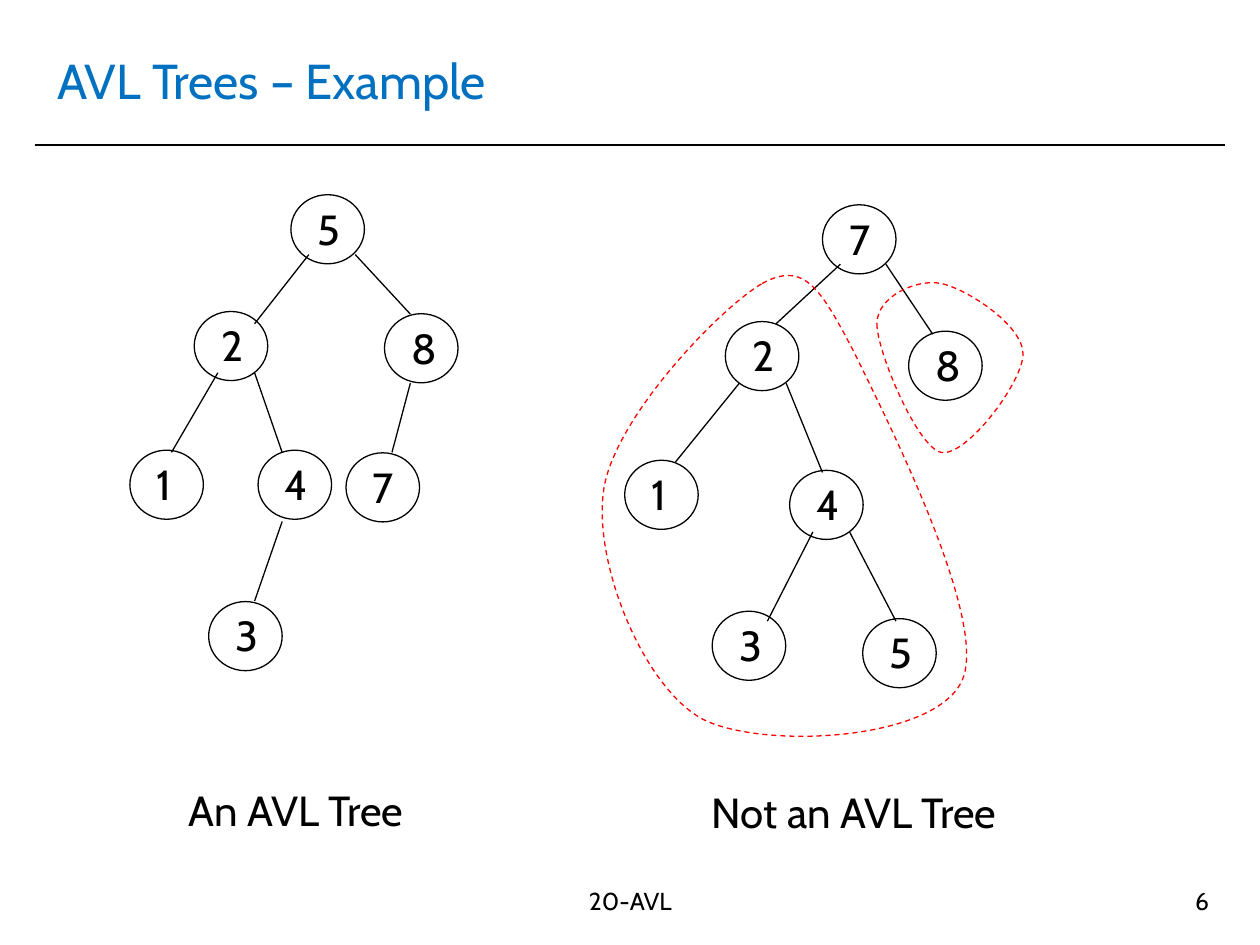
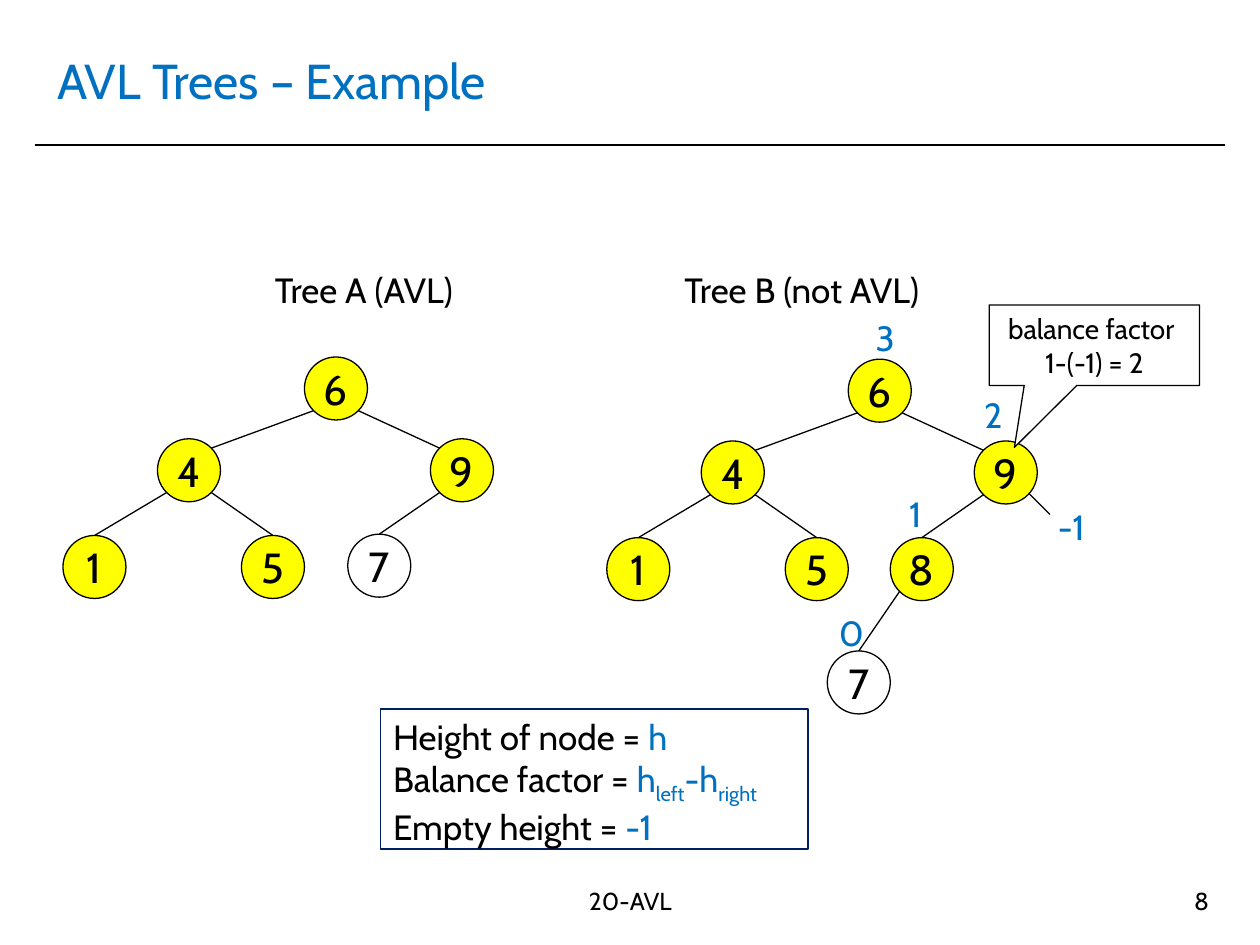
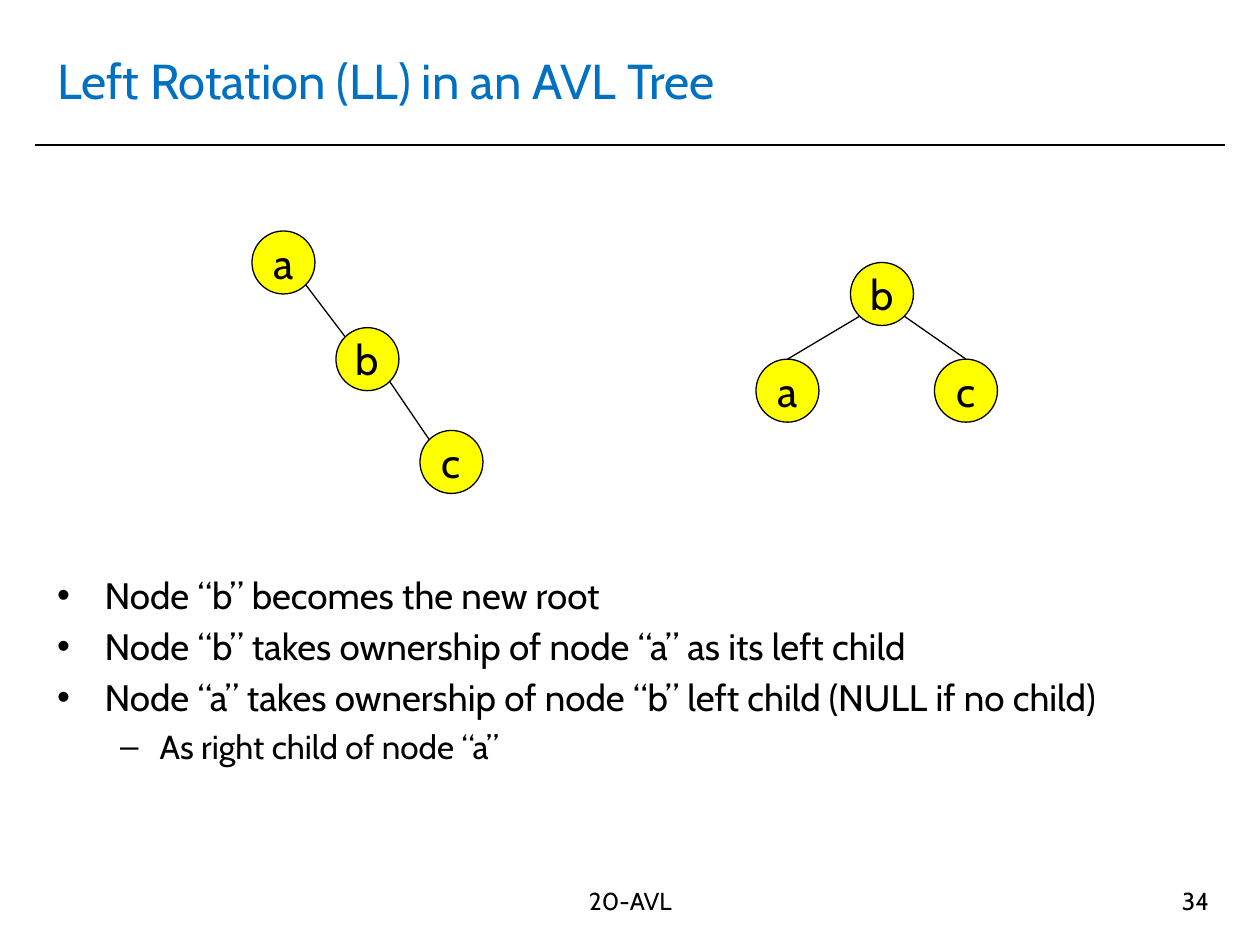
from lxml import etree
from pptx import Presentation
from pptx.dml.color import RGBColor
from pptx.enum.dml import MSO_LINE
from pptx.enum.shapes import MSO_CONNECTOR, MSO_SHAPE
from pptx.enum.text import MSO_ANCHOR, MSO_AUTO_SIZE, PP_ALIGN
from pptx.oxml.ns import qn
from pptx.util import Pt

STRAIGHT = MSO_CONNECTOR.STRAIGHT
ELLIPSE, RECT, CALLOUT = MSO_SHAPE.OVAL, MSO_SHAPE.RECTANGLE, MSO_SHAPE.RECTANGULAR_CALLOUT
LEFT, CENTER, RIGHT = PP_ALIGN.LEFT, PP_ALIGN.CENTER, PP_ALIGN.RIGHT
TOP, MIDDLE = MSO_ANCHOR.TOP, MSO_ANCHOR.MIDDLE
NO_FIT = MSO_AUTO_SIZE.NONE
DASH = MSO_LINE.DASH

FONT = "Cabin"
COLORS = {
    "black": "000000",
    "blue": "0070C0",
    "navy": "002060",
    "red": "FF0000",
    "white": "FFFFFF",
    "yellow": "FFFF00",
}
RGB = {name: RGBColor.from_string(value) for name, value in COLORS.items()}


def write(p, text, size, color="black", align=LEFT):
    p.alignment = align
    r = p.add_run()
    r.text = text
    r.font.name = FONT
    r.font.size = Pt(size)
    r.font.color.rgb = RGB[color]
    return r


def draw_line(s, x1, y1, x2, y2, width=0.75):
    c = s.shapes.add_connector(STRAIGHT, Pt(x1), Pt(y1), Pt(x2), Pt(y2))
    c.line.color.rgb = RGB["black"]
    c.line.width = Pt(width)
    etree.SubElement(c._element.spPr, qn("a:effectLst"))


prs = Presentation()
prs.slide_width, prs.slide_height = Pt(720), Pt(540)

slides = []
for layout, title, number in [
    (5, "AVL Trees – Example", "6"),
    (5, "AVL Trees – Example", "8"),
    (1, "Left Rotation (LL) in an AVL Tree", "34"),
]:
    s = prs.slides.add_slide(prs.slide_layouts[layout])
    slides.append(s)
    sp = s.shapes.title
    sp.left, sp.top, sp.width, sp.height = Pt(25.5), Pt(15), Pt(669), Pt(61)
    tf = sp.text_frame
    tf.auto_size = NO_FIT
    tf.vertical_anchor = MIDDLE
    write(tf.paragraphs[0], title, 28, "blue")
    draw_line(s, 19.75, 83, 700.25, 83, 1)
    for text, x, w, align in [("20-AVL", 241, 238.5, CENTER), (number, 530, 168, RIGHT)]:
        tf = s.shapes.add_textbox(Pt(x), Pt(502.5), Pt(w), Pt(37.5)).text_frame
        tf.word_wrap = True
        write(tf.paragraphs[0], text, 14, align=align)

example, balance, rotation = slides

base_tree = {"6": (174, 204), "4": (90, 250.75), "9": (246, 250.75),
             "1": (36, 306), "5": (138, 306)}
base_edges = ["64 BL TR", "69 BR TL", "41 BL T", "45 BR T"]
sites = {"T": (0.5, 0), "TL": (0.15, 0.15), "TR": (0.85, 0.15),
         "BL": (0.15, 0.85), "BR": (0.85, 0.85)}

trees = [
    (example, 42, 39.5, 0, 0,
     {"5": (166.25, 111.25), "2": (111, 178), "8": (219.75, 179.25), "1": (74.25, 257.25),
      "4": (147.5, 257.25), "3": (119.25, 343.75), "7": (197.75, 258.75)}, []),
    (example, 42, 39.5, 0, 0,
     {"7": (470, 117), "2": (414.5, 183.75), "8": (519.25, 189.25), "1": (357, 263),
      "4": (451.25, 268.75), "3": (407, 349.25), "5": (493, 353.5)}, []),
    (balance, 36, 36, 0, 0,
     {**base_tree, "7": (198.75, 305.25)}, base_edges + ["97 BL T"]),
    (balance, 36, 36, 310.75, 1.25,
     {**base_tree, "8": (198, 306), "7": (162, 370.75)},
     base_edges + ["98 BL T", "87 BL T"]),
    (rotation, 36, 36, 0, 0,
     {"a": (144, 132), "b": (192, 187.25), "c": (240, 246)}, ["ab BR TL", "bc BR TL"]),
    (rotation, 36, 36, 0, 0,
     {"b": (486, 150), "a": (432, 205.25), "c": (534, 205.25)}, ["ba BL T", "bc BR T"]),
]
for s, w, h, dx, dy, nodes, edges in trees:
    for label, (x, y) in nodes.items():
        sp = s.shapes.add_shape(ELLIPSE, Pt(x + dx), Pt(y + dy), Pt(w), Pt(h))
        sp.shadow.inherit = False
        if s is example or label == "7":
            sp.fill.background()
        else:
            sp.fill.solid()
            sp.fill.fore_color.rgb = RGB["yellow"]
        sp.line.color.rgb = RGB["black"]
        sp.line.width = Pt(0.75)
        if s is example:
            tf = s.shapes.add_textbox(Pt(x + 8.25), Pt(y + 1.25), Pt(31.75), Pt(36)).text_frame
            tf.word_wrap = True
            write(tf.paragraphs[0], label, 24)
        else:
            tf = sp.text_frame
            tf.word_wrap = False
            tf.vertical_anchor = MIDDLE
            write(tf.paragraphs[0], label, 24, align=CENTER)
    for edge in edges:
        (parent, child), start, end = edge.split()
        ends = []
        for label, site in [(parent, start), (child, end)]:
            ends += [nodes[label][0] + dx + w * sites[site][0],
                     nodes[label][1] + dy + h * sites[site][1]]
        draw_line(s, *ends)

for ends in [
    (176.5, 145.5, 145.5, 185), (203, 145.5, 234.5, 179.5),
    (124.5, 213, 98, 258.5), (145.5, 213, 161.25, 258.5),
    (161.25, 298, 145.5, 343.5), (234.5, 219, 224, 258.5),
    (480.25, 151, 443.5, 185), (506.25, 151, 533, 191),
    (422.5, 219, 386, 264), (449.25, 219, 470, 270),
    (464.5, 304, 438.5, 355), (485.5, 304, 512, 355),
]:
    draw_line(example, *ends)
draw_line(balance, 588, 282, 600, 294)

subtree_outlines = [
    [(435.6, 162), (459.4, 149), (468.7, 164.2), (488.2, 201.6),
     (506.9, 239.8), (564.5, 353.5), (550.1, 388.1),
     (535.7, 423.4), (436.3, 428.4), (401.8, 411.1),
     (367.9, 393.1), (339.1, 322.6), (344.9, 280.8),
     (349.9, 239.8), (411.8, 175.7), (435.6, 162)],
    [(501.1, 185), (501.1, 200.9), (524.2, 255.6), (537.8, 258.5),
     (552.2, 261.4), (584.6, 218.2), (584.6, 202.3),
     (584.6, 185.8), (552.2, 164.9), (537.8, 162),
     (524.2, 159.1), (501.1, 169.2), (501.1, 185)],
]
for outline in subtree_outlines:
    start, *points = [(Pt(x), Pt(y)) for x, y in outline]
    fb = example.shapes.build_freeform(*start)
    fb.add_line_segments(points, close=True)
    sp = fb.convert_to_shape()
    segments = list(sp._element.iter(qn("a:lnTo")))
    for i in range(0, len(segments), 3):
        curve = etree.Element(qn("a:cubicBezTo"))
        segments[i].addprevious(curve)
        for segment in segments[i:i + 3]:
            curve.append(segment[0])
            segment.getparent().remove(segment)
    sp.shadow.inherit = False
    sp.fill.background()
    sp.line.color.rgb = RGB["red"]
    sp.line.width = Pt(0.75)
    sp.line.dash_style = DASH

for s, text, x, y, w, h, size, color, align in [
    (example, "An AVL Tree", 82.75, 445, 172.75, 36, 24, "black", CENTER),
    (example, "Not an AVL Tree", 386, 445.75, 204, 36, 24, "black", CENTER),
    (balance, "Tree A (AVL)", 150, 150, 132, 31, 20, "black", LEFT),
    (balance, "Tree B (not AVL)", 384, 150, 180, 31, 20, "black", LEFT),
    (balance, "3", 493.25, 177.25, 25, 31.5, 20, "blue", LEFT),
    (balance, "2", 555.25, 221.25, 25, 31.5, 20, "blue", LEFT),
    (balance, "1", 512.5, 278, 25, 31.5, 20, "blue", LEFT),
    (balance, "0", 472.25, 345.75, 25, 31.5, 20, "blue", LEFT),
    (balance, "-1", 597.5, 285.25, 33, 31.5, 20, "blue", LEFT),
]:
    tf = s.shapes.add_textbox(Pt(x), Pt(y), Pt(w), Pt(h)).text_frame
    tf.word_wrap = w > 40
    write(tf.paragraphs[0], text, size, color, align)

legend = [
    [("Height of node = ", "black", False), ("h", "blue", False)],
    [("Balance factor = ", "black", False), ("h", "blue", False), ("left", "blue", True),
     ("-h", "blue", False), ("right", "blue", True)],
    [("Empty height = ", "black", False), ("-1", "blue", False)],
]
callout = [[("balance factor ", "black", False)], [("1-(-1) = 2", "black", False)]]
for shape, x, y, w, h, fill, line, width, anchor, align, size, paragraphs in [
    (RECT, 217.5, 405.25, 244.25, 80, None, "navy", 1, TOP, LEFT, 20, legend),
    (CALLOUT, 565.25, 174.25, 120.25, 46, "white", "black", 0.75, MIDDLE, CENTER, 16, callout),
]:
    sp = balance.shapes.add_shape(shape, Pt(x), Pt(y), Pt(w), Pt(h))
    sp.shadow.inherit = False
    if fill:
        sp.fill.solid()
        sp.fill.fore_color.rgb = RGB[fill]
    else:
        sp.fill.background()
    sp.line.color.rgb = RGB[line]
    sp.line.width = Pt(width)
    if shape == CALLOUT:
        sp.adjustments[0], sp.adjustments[1] = -0.38, 1.27
    tf = sp.text_frame
    tf.word_wrap = True
    tf.vertical_anchor = anchor
    for i, runs in enumerate(paragraphs):
        p = tf.add_paragraph() if i else tf.paragraphs[0]
        for text, color, subscript in runs:
            r = write(p, text, size, color, align)
            if subscript:
                r._r.get_or_add_rPr().set("baseline", "-25000")

sp = rotation.placeholders[1]
sp.left, sp.top, sp.width, sp.height = Pt(25.5), Pt(323.75), Pt(669), Pt(167.25)
tf = sp.text_frame
tf.auto_size = NO_FIT
for i, (text, level) in enumerate([
    ("Node “b” becomes the new root", 0),
    ("Node “b” takes ownership of node “a” as its left child", 0),
    ("Node “a” takes ownership of node “b” left child (NULL if no child)", 0),
    ("As right child of node “a”", 1),
]):
    margin, indent, size = [(27, -27, 21), (58.5, -22.5, 19)][level]
    p = tf.add_paragraph() if i else tf.paragraphs[0]
    p.level = level
    pPr = p._p.get_or_add_pPr()
    pPr.set("marL", str(Pt(margin)))
    pPr.set("indent", str(Pt(indent)))
    p.space_before = Pt(4 if i else 0)
    write(p, text, size)

prs.save("out.pptx")
